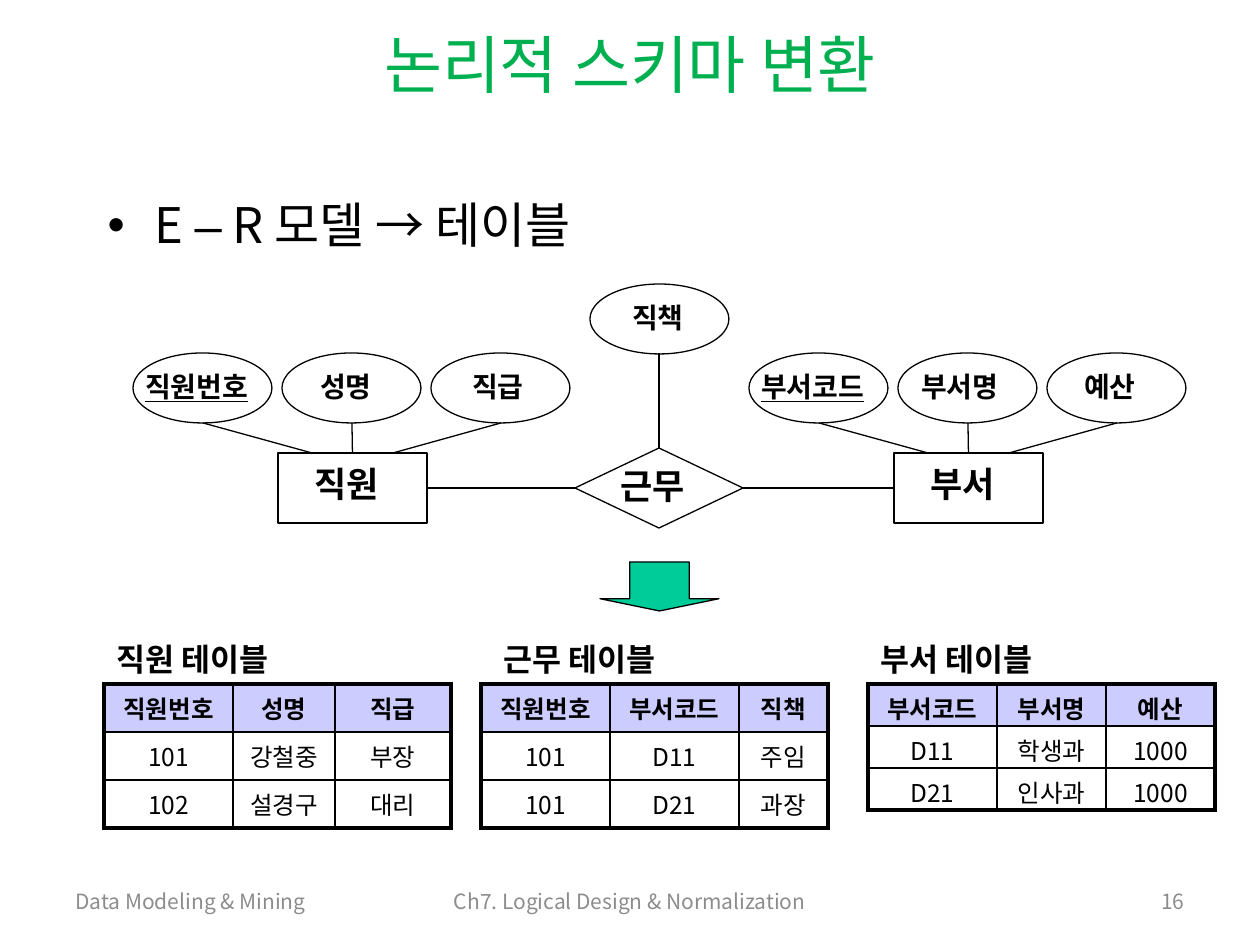
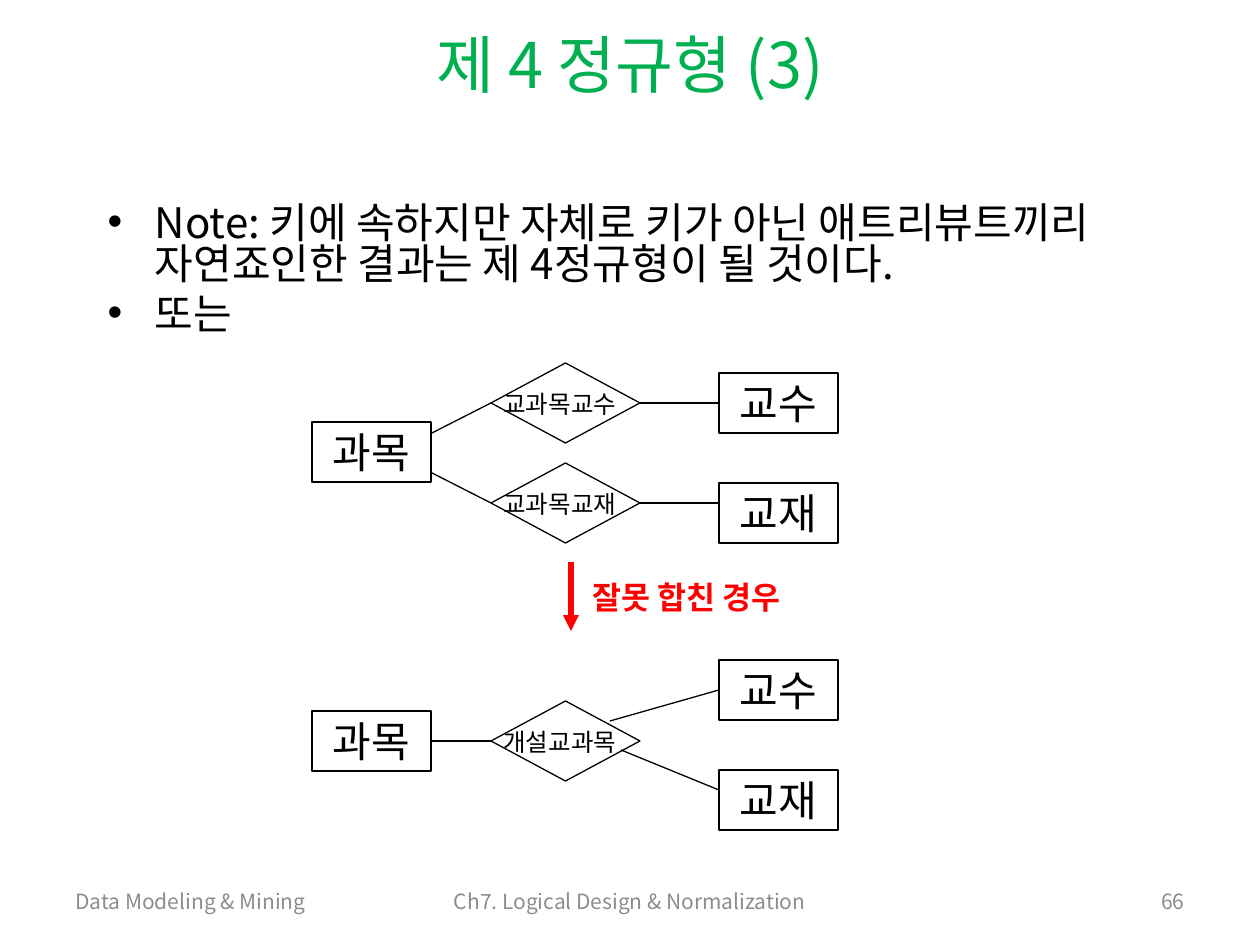
"""Builds two database design slides: E-R to tables, and fourth normal form."""
import dataclasses

import pptx
import pptx.dml.color
import pptx.enum.shapes
import pptx.enum.text
import pptx.oxml.ns
import pptx.util
from lxml import etree

PX = 914400 // 126
SHAPES = pptx.enum.shapes.MSO_SHAPE
ALIGN = pptx.enum.text.PP_ALIGN
ANCHOR = pptx.enum.text.MSO_ANCHOR


@dataclasses.dataclass(frozen=True)
class Theme:
    font: str = "Noto Sans CJK KR"
    ink: str = "000000"
    paper: str = "FFFFFF"
    title: str = "00B050"
    muted: str = "8C8C8C"
    header: str = "CCCCFF"
    arrow: str = "00CC99"
    alert: str = "FF0000"
    title_size: int = 36
    node_size: int = 24
    entity_size: int = 20
    caption_size: int = 18
    attribute_size: int = 16
    small_size: int = 14
    footer_size: int = 12
    thin: float = 0.75
    grid: float = 1
    frame: float = 2.25
    thick: float = 3


T = Theme()
TITLE_BOX = (63, 20, 1134, 86)
BODY_BOX = (95, 195, 1071, 645)
FOOTERS = [
    ("Data Modeling & Mining", (63, 876, 270, 50), ALIGN.LEFT),
    ("Ch7. Logical Design & Normalization", (377, 876, 506, 50), ALIGN.CENTER),
]
NUMBER_BOX = (1116, 876, 81, 50)

ER = {
    "title": "논리적 스키마 변환", "number": "16",
    "size": 28, "spacing": 0.9, "inset": 6,
    "body": [[("E ", T.font), ("–", "Arial"), (" R 모델 ", T.font),
              ("→ 테이블", "Times New Roman")]],
}
ENTITIES = [
    ("직원", 278, [("직원번호", 0), ("성명", 26), ("직급", 29)]),
    ("부서", 894, [("부서코드", 0), ("부서명", 11), ("예산", 25)]),
]
RELATION = ("근무", (575, 448, 168, 80))
RELATION_ATTRIBUTE = ("직책", 590, 284, 30)
TABLES = [
    ("직원 테이블", 104, 104, [129, 102, 116], 48,
     [["직원번호", "성명", "직급"], ["101", "강철중", "부장"], ["102", "설경구", "대리"]]),
    ("근무 테이블", 491, 481, [129, 129, 89], 48,
     [["직원번호", "부서코드", "직책"], ["101", "D11", "주임"], ["101", "D21", "과장"]]),
    ("부서 테이블", 868, 868, [129, 109, 109], 42,
     [["부서코드", "부서명", "예산"], ["D11", "학생과", "1000"], ["D21", "인사과", "1000"]]),
]

FOURTH = {
    "title": "제 4 정규형 (3)", "number": "66",
    "size": 24, "spacing": 0.82, "inset": 10,
    "body": [[("Note: 키에 속하지만 자체로 키가 아닌 애트리뷰트끼리 "
               "자연죠인한 결과는 제 4정규형이 될 것이다.", T.font)],
             [("또는", T.font)]],
}
DIAGRAMS = [
    {"entities": [("과목", 312, 422), ("교수", 719, 373), ("교재", 719, 483)],
     "relations": [("교과목교수", 491, 363), ("교과목교재", 491, 463)],
     "lines": [((432, 433), ("교과목교수", 1)), ((432, 473), ("교과목교재", 1)),
               (("교과목교수", 3), ("교수", 1)), (("교과목교재", 3), (719, 503))]},
    {"entities": [("과목", 312, 711), ("교수", 719, 660), ("교재", 719, 770)],
     "relations": [("개설교과목", 491, 701)],
     "lines": [((610, 721), ("교수", 1)), ((621, 750), (719, 790)),
               (("과목", 3), ("개설교과목", 1))]},
]


def rgb(color):
    return pptx.dml.color.RGBColor.from_string(color)


def emu(box):
    return [round(v * PX) for v in box]


def sub(parent, tag, **attrs):
    return etree.SubElement(parent, pptx.oxml.ns.qn(tag), attrs)


def style(r, size, color=T.ink, bold=False, underline=False, font=T.font):
    r.font.size = pptx.util.Pt(size)
    r.font.color.rgb = rgb(color)
    r.font.bold = bold
    r.font.underline = underline
    r.font.name = font
    sub(r.font._element, "a:ea", typeface=T.font)


def write(tf, text, size, align=ALIGN.LEFT, **look):
    tf.text = text
    p = tf.paragraphs[0]
    p.alignment = align
    style(p.runs[0], size, **look)


def label(sl, text, box, size, align=ALIGN.LEFT, anchor=ANCHOR.TOP, **look):
    tf = sl.shapes.add_textbox(*emu(box)).text_frame
    tf.word_wrap = True
    tf.vertical_anchor = anchor
    write(tf, text, size, align, **look)


def shape(sl, kind, box, fill=None):
    sp = sl.shapes.add_shape(kind, *emu(box))
    sp.shadow.inherit = False
    if fill:
        sp.fill.solid()
        sp.fill.fore_color.rgb = rgb(fill)
    else:
        sp.fill.background()
    sp.line.color.rgb = rgb(T.ink)
    sp.line.width = pptx.util.Pt(T.thin)
    return sp


def connect(sl, start, end, nodes=None, color=T.ink, width=T.thin):
    """Draws a line; each end is a pixel point or a (node name, site) pair."""
    points = [(0, 0) if isinstance(e[0], str) else e for e in (start, end)]
    cx = sl.shapes.add_connector(pptx.enum.shapes.MSO_CONNECTOR.STRAIGHT,
                                 *emu(points[0] + points[1]))
    for e, join in ((start, cx.begin_connect), (end, cx.end_connect)):
        if isinstance(e[0], str):
            join(nodes[e[0]], e[1])
    cx.line.color.rgb = rgb(color)
    cx.line.width = pptx.util.Pt(width)
    sub(cx._element.spPr, "a:effectLst")
    return cx


def place(sp, box):
    sp.left, sp.top, sp.width, sp.height = emu(box)
    sp.text_frame.auto_size = pptx.enum.text.MSO_AUTO_SIZE.NONE
    return sp.text_frame


def new_slide(prs, page):
    sl = prs.slides.add_slide(prs.slide_layouts[1])
    tf = place(sl.shapes.title, TITLE_BOX)
    tf.vertical_anchor = ANCHOR.MIDDLE
    write(tf, page["title"], T.title_size, ALIGN.CENTER, color=T.title)
    tf = place(sl.placeholders[1], BODY_BOX)
    tf.margin_top = page["inset"] * PX
    for i, runs in enumerate(page["body"]):
        p = tf.add_paragraph() if i else tf.paragraphs[0]
        p.line_spacing = page["spacing"]
        if i == 0:
            p.space_before = pptx.util.Pt(0)
        for text, font in runs:
            r = p.add_run()
            r.text = text
            style(r, page["size"], font=font)
    for text, box, align in FOOTERS + [(page["number"], NUMBER_BOX, ALIGN.RIGHT)]:
        label(sl, text, box, T.footer_size, align, ANCHOR.MIDDLE, color=T.muted)
    return sl


def attribute(sl, text, x, y, indent, key=False):
    shape(sl, SHAPES.OVAL, (x, y, 139, 70))
    label(sl, text, (x + indent, y + 10, 139, 47), T.attribute_size,
          bold=True, underline=key)


def border(cell, outer):
    tcPr = cell._tc.get_or_add_tcPr()
    for side in "LRTB":
        width = pptx.util.Pt(T.frame if side in outer else T.grid)
        ln = sub(tcPr, "a:ln" + side, w=str(width))
        sub(sub(ln, "a:solidFill"), "a:srgbClr", val=T.ink)


def table(sl, x, y, widths, row_height, rows):
    frame = sl.shapes.add_table(len(rows), len(widths),
                                *emu((x, y, sum(widths), row_height * len(rows))))
    tbl = frame.table
    tbl.first_row = tbl.horz_banding = False
    for col, width in zip(tbl.columns, widths):
        col.width = width * PX
    for i, row in enumerate(rows):
        tbl.rows[i].height = row_height * PX
        for j, text in enumerate(row):
            cell = tbl.cell(i, j)
            edges = {"L": j == 0, "R": j == len(row) - 1,
                     "T": i == 0, "B": i == len(rows) - 1}
            border(cell, [side for side, on in edges.items() if on])
            cell.fill.solid()
            cell.fill.fore_color.rgb = rgb(T.paper if i else T.header)
            cell.margin_top = 6 * PX
            cell.margin_bottom = (row_height - 42) * PX
            write(cell.text_frame, text, T.small_size, ALIGN.CENTER, bold=i == 0)


def er_slide(prs):
    sl = new_slide(prs, ER)
    nodes = {}
    for name, x, attributes in ENTITIES:
        nodes[name] = shape(sl, SHAPES.RECTANGLE, (x, 453, 149, 70))
        label(sl, name, (x + 24, 456, 129, 54), T.entity_size, bold=True)
        ends = [(x + 34, 453), (name, 0), (x + 115, 453)]
        for i, (text, indent) in enumerate(attributes):
            left = x - 145 + 149 * i
            attribute(sl, text, left, 353, indent, key=i == 0)
            connect(sl, ends[i], (left + 70, 423), nodes)
    name, box = RELATION
    nodes[name] = shape(sl, SHAPES.DIAMOND, box)
    label(sl, name, (box[0] + 33, 458, 129, 54), T.entity_size, bold=True)
    text, x, y, indent = RELATION_ATTRIBUTE
    attribute(sl, text, x, y, indent)
    connect(sl, (name, 0), (x + 69, y + 69), nodes)
    connect(sl, ("직원", 3), (name, 1), nodes)
    connect(sl, (name, 3), ("부서", 1), nodes)
    arrow = shape(sl, SHAPES.DOWN_ARROW, (600, 562, 119, 49), T.arrow)
    arrow.adjustments[0], arrow.adjustments[1] = 0.5, 0.25
    for caption, caption_x, x, widths, row_height, rows in TABLES:
        label(sl, caption, (caption_x, 634, 218, 50), T.caption_size, bold=True)
        table(sl, x, 684, widths, row_height, rows)


def fourth_slide(prs):
    sl = new_slide(prs, FOURTH)
    for diagram in DIAGRAMS:
        nodes = {}
        for name, x, y in diagram["entities"]:
            sp = nodes[name] = shape(sl, SHAPES.RECTANGLE, (x, y, 119, 60))
            tf = sp.text_frame
            tf.margin_top = tf.margin_bottom = 0
            tf.vertical_anchor = ANCHOR.MIDDLE
            write(tf, name, T.node_size, ALIGN.CENTER)
        for name, x, y in diagram["relations"]:
            nodes[name] = shape(sl, SHAPES.DIAMOND, (x, y, 149, 80))
            label(sl, name, (x, y + 20, 149, 42), T.small_size)
        for start, end in diagram["lines"]:
            connect(sl, start, end, nodes)
    cx = connect(sl, (571, 562), (571, 631), color=T.alert, width=T.thick)
    sub(cx.line._get_or_add_ln(), "a:tailEnd", type="triangle")
    label(sl, "잘못 합친 경우", (580, 572, 231, 50), T.caption_size,
          color=T.alert, bold=True)


def main():
    prs = pptx.Presentation()
    prs.slide_width, prs.slide_height = emu((1260, 945))
    er_slide(prs)
    fourth_slide(prs)
    prs.save("out.pptx")


if __name__ == "__main__":
    main()
